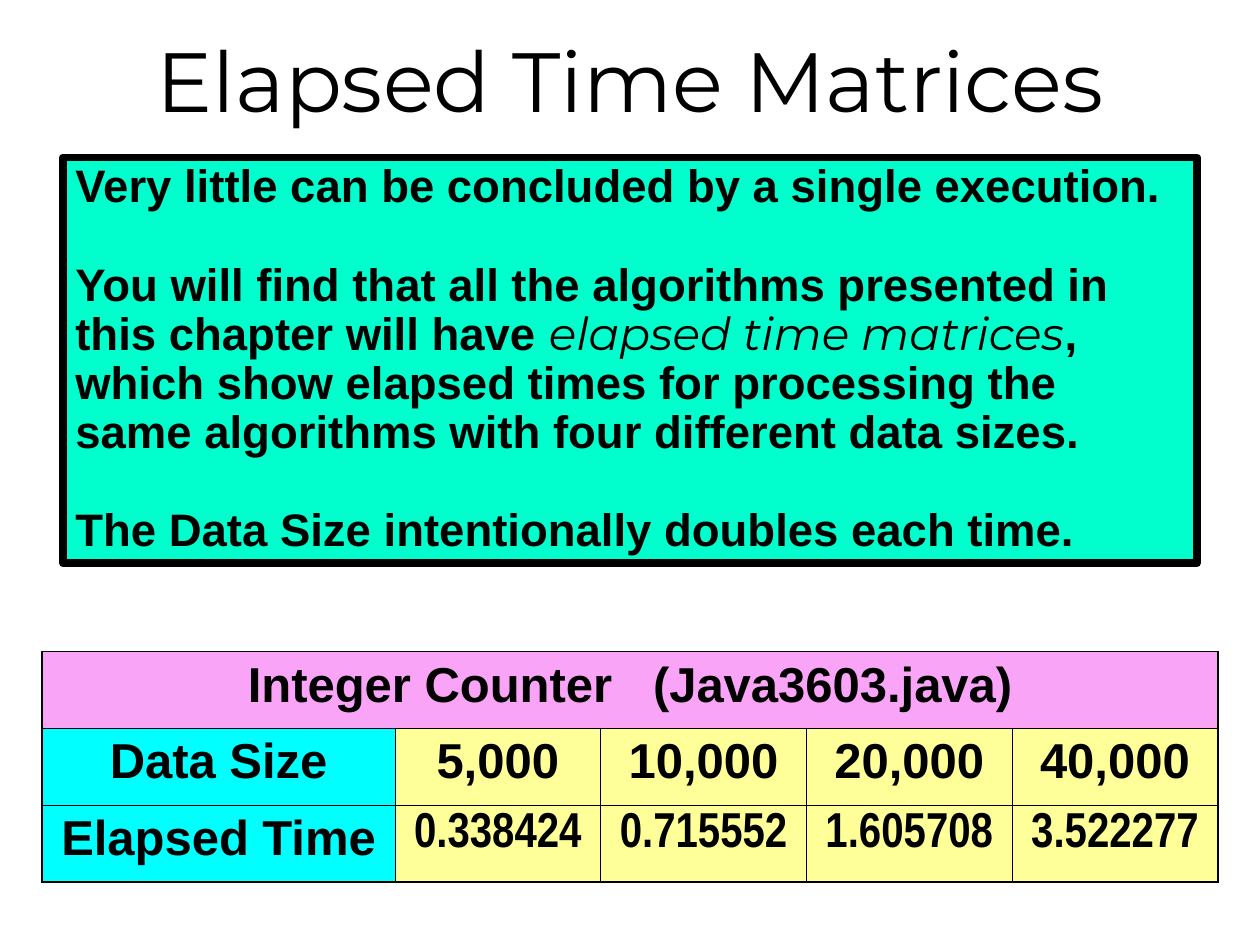
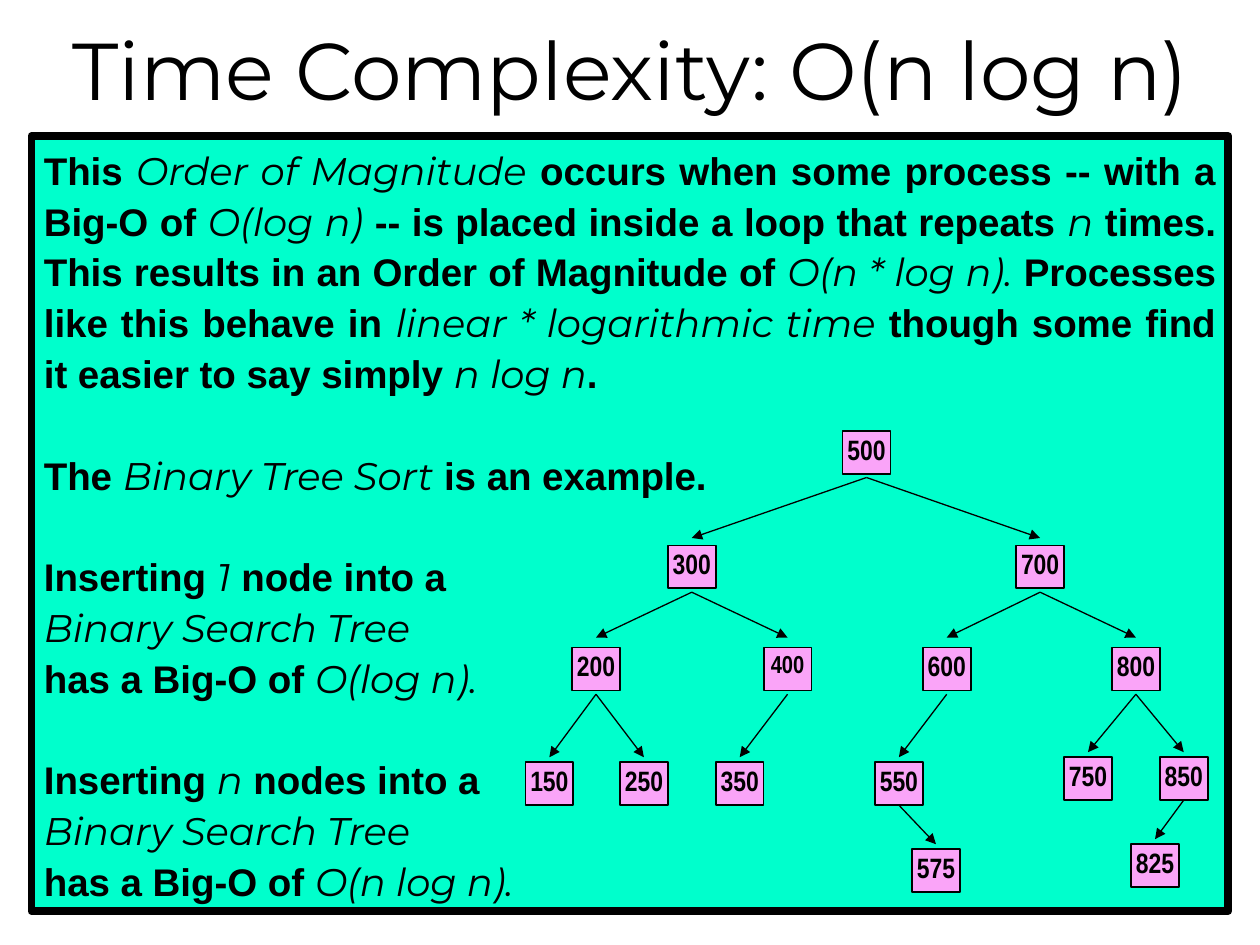
import dataclasses
import pptx
import pptx.dml.color
import pptx.enum.shapes
import pptx.enum.text
import pptx.util
from lxml import etree

ALIGN = pptx.enum.text.PP_ALIGN
ANCHOR = pptx.enum.text.MSO_ANCHOR
Pt = pptx.util.Pt
DRAWING = "http://schemas.openxmlformats.org/drawingml/2006/main"
TITLE_ONLY = 5
GRID_STEP = pptx.util.Inches(0.25)  # the slide is 40 columns by 30 rows


def rgb(code):
    return pptx.dml.color.RGBColor.from_string(code)


@dataclasses.dataclass(frozen=True)
class Theme:
    black = rgb("000000")
    mint = rgb("00FFCC")
    pink = rgb("FAA4F8")
    cyan = rgb("00FFFF")
    yellow = rgb("FFFF99")
    body = "Arial"
    narrow = "Arial Narrow"
    display = "Montserrat"
    matrices_title_size = 48
    complexity_title_size = 46
    matrices_size = 26
    complexity_size = 22
    table_size = 28
    node_size = 16
    small_node_size = 14
    frame_line = 4.5
    node_line = 1
    arrow_line = 0.75
    outer_border = 1.08
    inner_border = 0.45


THEME = Theme()


@dataclasses.dataclass(frozen=True)
class Box:
    """A region in columns and rows of the slide grid."""
    left: float
    top: float
    width: float
    height: float

    def emu(self):
        return [round(value * GRID_STEP) for value in
                (self.left, self.top, self.width, self.height)]


def set_all(target, values):
    for name, value in values.items():
        setattr(target, name, value)


def add_span(para, text, size, font=THEME.body, bold=True, italic=False):
    span = para.add_run()
    span.text = text
    set_all(span.font, {"name": font, "size": Pt(size), "bold": bold, "italic": italic})
    span.font.color.rgb = THEME.black
    return span


def add_marked_text(para, text, size):
    """Sets bold text; parts between underscores are light italics."""
    for index, part in enumerate(text.split("_")):
        if part and index % 2:
            add_span(para, part, size, THEME.display, False, True)
        elif part:
            add_span(para, part, size)


def add_rectangle(slide, box, fill, line_width):
    shape = slide.shapes.add_shape(
        pptx.enum.shapes.MSO_SHAPE.RECTANGLE, *box.emu())
    shape.shadow.inherit = False
    shape.fill.solid()
    shape.fill.fore_color.rgb = fill
    shape.line.color.rgb = THEME.black
    shape.line.width = Pt(line_width)
    set_all(shape.text_frame, {"word_wrap": True, "vertical_anchor": ANCHOR.TOP})
    return shape


def add_titled_slide(deck, text, size, rows):
    slide = deck.slides.add_slide(deck.slide_layouts[TITLE_ONLY])
    title = slide.shapes.title
    set_all(title, dict(zip(("left", "top", "width", "height"),
                            Box(0, 0, 40, rows).emu())))
    set_all(title.text_frame, {"word_wrap": True, "vertical_anchor": ANCHOR.MIDDLE})
    para = title.text_frame.paragraphs[0]
    para.alignment = ALIGN.CENTER
    add_span(para, text, size, THEME.display, False)
    return slide


def add_text_panel(slide, box, blocks, size, line_spacing, block_gap, alignment):
    """Draws a framed panel; each block of lines starts after a gap."""
    frame = add_rectangle(slide, box, THEME.mint, THEME.frame_line).text_frame
    for block_index, lines in enumerate(blocks):
        for line_index, line in enumerate(lines):
            first = block_index == line_index == 0
            para = frame.paragraphs[0] if first else frame.add_paragraph()
            set_all(para, {"alignment": alignment, "line_spacing": line_spacing})
            if block_index and not line_index:
                para.space_before = Pt(block_gap)
            add_marked_text(para, line, size)


def set_borders(cell, outer_sides):
    for side in "LRTB":
        width = THEME.outer_border if side in outer_sides else THEME.inner_border
        line = etree.SubElement(cell._tc.get_or_add_tcPr(),
                                f"{{{DRAWING}}}ln{side}", w=str(int(Pt(width))))
        fill = etree.SubElement(line, f"{{{DRAWING}}}solidFill")
        etree.SubElement(fill, f"{{{DRAWING}}}srgbClr", val=str(THEME.black))


def add_time_matrix(slide, box, heading, rows):
    """Draws a heading across the top, then labelled rows of values."""
    count = len(rows[0])
    table = slide.shapes.add_table(len(rows) + 1, count, *box.emu()).table
    set_all(table, {"first_row": False, "horz_banding": False})
    label_share = 0.3
    for index, column in enumerate(table.columns):
        share = (1 - label_share) / (count - 1) if index else label_share
        column.width = round(box.width * share * GRID_STEP)
    for row in range(len(rows) + 1):
        for column in range(count):
            cell = table.cell(row, column)
            sides = {"T": row == 0, "B": row == len(rows),
                     "L": column == 0, "R": column == count - 1 or row == 0}
            set_borders(cell, [side for side, outer in sides.items() if outer])
            cell.fill.solid()
            cell.fill.fore_color.rgb = (
                THEME.yellow if row and column else THEME.cyan if row else THEME.pink)
            para = cell.text_frame.paragraphs[0]
            para.alignment = ALIGN.CENTER
            if row:
                narrow = row == len(rows) and column
                add_span(para, rows[row - 1][column], THEME.table_size,
                         THEME.narrow if narrow else THEME.body)
    table.cell(0, 0).merge(table.cell(0, count - 1))
    para = table.cell(0, 0).text_frame.paragraphs[0]
    name, file_name = heading
    add_span(para, name, THEME.table_size)
    gap = add_span(para, " ", THEME.table_size)
    gap.font._element.set("spc", "1560")
    add_span(para, file_name, THEME.table_size)


def add_arrow(slide, start, end):
    points = [round(value * GRID_STEP) for value in (*start, *end)]
    arrow = slide.shapes.add_connector(
        pptx.enum.shapes.MSO_CONNECTOR.STRAIGHT, *points)
    arrow.line.color.rgb = THEME.black
    arrow.line.width = Pt(THEME.arrow_line)
    etree.SubElement(arrow.line._get_or_add_ln(), f"{{{DRAWING}}}tailEnd", type="triangle")
    etree.SubElement(arrow._element.spPr, f"{{{DRAWING}}}effectLst")


# Key: column, level, parent, rows to lift, all within the tree's own grid.
TREE = {
    500: (13.25, 0, None, 0),
    300: (5.95, 1, 500, 0),
    700: (20.5, 1, 500, 0),
    200: (1.95, 2, 300, 0),
    400: (9.95, 2, 300, 0),
    600: (16.6, 2, 700, 0),
    800: (24.5, 2, 700, 0),
    150: (0, 3, 200, 0),
    250: (3.95, 3, 200, 0),
    350: (7.95, 3, 400, 0),
    550: (14.6, 3, 600, 0),
    750: (22.5, 3, 800, 0.2),
    850: (26.5, 3, 800, 0.2),
    575: (16.15, 4, 550, 0),
    825: (25.3, 4, 850, 0.2),
}
TREE_COLUMNS, TREE_ROWS = 28.5, 18.3
LEVEL_ROWS = (0, 4.55, 8.6, 13.15, 16.6)
NODE_COLUMNS, NODE_ROWS = 2, 1.7
GAP_ABOVE = (0, 0.3, 0.4, 0.2, 0.2)
GAP_BELOW = (0.15, 0.15, 0.15, 0)
KEY_SIZES = {400: THEME.small_node_size}


def add_binary_tree(slide, box, tree):
    column_width, row_height = box.width / TREE_COLUMNS, box.height / TREE_ROWS

    def point(column, row):
        return box.left + column * column_width, box.top + row * row_height

    for key, (column, level, _, lift) in tree.items():
        node = Box(*point(column, LEVEL_ROWS[level] - lift),
                   NODE_COLUMNS * column_width, NODE_ROWS * row_height)
        frame = add_rectangle(slide, node, THEME.pink, THEME.node_line).text_frame
        set_all(frame, {f"margin_{side}": pptx.util.Inches(0.01)
                        for side in ("left", "top", "right", "bottom")})
        para = frame.paragraphs[0]
        para.alignment = ALIGN.CENTER
        add_span(para, str(key), KEY_SIZES.get(key, THEME.node_size), THEME.narrow)
    for column, level, parent, lift in tree.values():
        if parent is None:
            continue
        parent_column, parent_level, _, parent_lift = tree[parent]
        bottom = LEVEL_ROWS[parent_level] - parent_lift + NODE_ROWS
        middle = NODE_COLUMNS / 2
        add_arrow(slide,
                  point(parent_column + middle, bottom + GAP_BELOW[parent_level]),
                  point(column + middle, LEVEL_ROWS[level] - lift - GAP_ABOVE[level]))


def add_matrices_slide(deck):
    slide = add_titled_slide(deck, "Elapsed Time Matrices", THEME.matrices_title_size, 5)
    blocks = [
        ["Very little can be concluded by a single execution."],
        ["You will find that all the algorithms presented in this chapter will have "
         "_elapsed time matrices_, which show elapsed times for processing the same "
         "algorithms with four different data sizes."],
        ["The Data Size intentionally doubles each time."],
    ]
    add_text_panel(slide, Box(2, 5, 36, 12.88), blocks,
                   THEME.matrices_size, 0.9, 28, ALIGN.LEFT)
    add_time_matrix(slide, Box(1.34, 20.68, 37.32, 7.32),
                    ("Integer Counter", "(Java3603.java)"), [
        ("Data Size", "5,000", "10,000", "20,000", "40,000"),
        ("Elapsed Time", "0.338424", "0.715552", "1.605708", "3.522277"),
    ])


def add_complexity_slide(deck):
    slide = add_titled_slide(deck, "Time Complexity: O(n log n)",
                             THEME.complexity_title_size, 4.32)
    blocks = [
        ["This _Order of Magnitude_ occurs when some process -- with a Big-O of "
         "_O(log n)_ -- is placed inside a loop that repeats _n_ times. This results "
         "in an Order of Magnitude of _O(n * log n)._ Processes like this behave in "
         "_linear * logarithmic time_ though some find it easier to say simply "
         "_n log n_."],
        ["The _Binary Tree Sort_ is an example."],
    ]
    for amount, cost in (("_1_ node", "O(log n)"), ("_n_ nodes", "O(n log n)")):
        blocks.append([f"Inserting {amount} into a", "_Binary Search Tree_",
                       f"has a Big-O of _{cost}._"])
    add_text_panel(slide, Box(1, 4.32, 38, 24.6), blocks,
                   THEME.complexity_size, 1.1, 29, ALIGN.JUSTIFY)
    add_binary_tree(slide, Box(16.68, 13.68, 21.66, 14.64), TREE)


def main():
    deck = pptx.Presentation()
    deck.slide_width, deck.slide_height = 40 * GRID_STEP, 30 * GRID_STEP
    add_matrices_slide(deck)
    add_complexity_slide(deck)
    deck.save("out.pptx")


if __name__ == "__main__":
    main()
